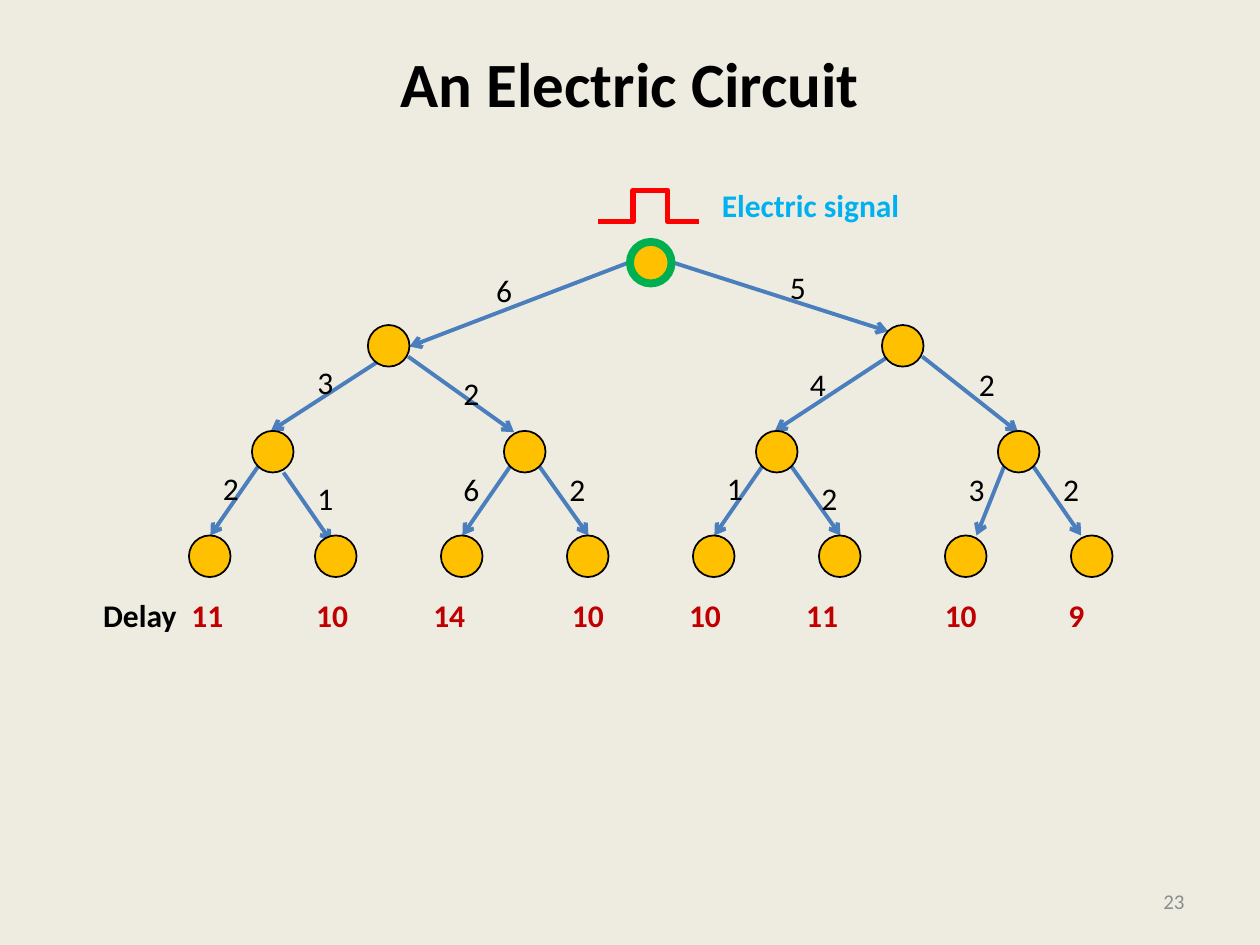
import pptx
import pptx.dml.color
import pptx.enum.shapes
import pptx.enum.text
import pptx.oxml
import pptx.oxml.ns
import pptx.util
from pptx.util import Inches

COLORS = {
    "background": "EEECE1", "text": "000000", "number": "8C8C8C",
    "wire": "4B7EBC", "node": "FFC000", "root": "00B050",
    "pulse": "FF0000", "signal": "00B0F0", "delay": "C00000",
}
ALIGN = pptx.enum.text.PP_ALIGN
ANCHOR = pptx.enum.text.MSO_ANCHOR
CONNECTOR = pptx.enum.shapes.MSO_CONNECTOR


def add_text(paragraph, text, size=18, color="text", bold=False, align=ALIGN.LEFT):
    paragraph.alignment = align
    run = paragraph.add_run()
    run.text = text
    run.font.name = "Calibri"
    run.font.size = pptx.util.Pt(size)
    run.font.bold = bold
    run.font.color.rgb = pptx.dml.color.RGBColor.from_string(COLORS[color])


def add_line(kind, start, end, color, width, arrow=False):
    connector = slide.shapes.add_connector(kind, *map(Inches, start + end))
    connector.line.color.rgb = pptx.dml.color.RGBColor.from_string(COLORS[color])
    connector.line.width = pptx.util.Pt(width)
    if arrow:
        pptx.oxml.ns.qn("a:tailEnd")
        line = connector.line._get_or_add_ln()
        line.append(pptx.oxml.parse_xml(
            f'<a:tailEnd {pptx.oxml.ns.nsdecls("a")} type="arrow"/>'))
    connector._element.spPr.append(pptx.oxml.parse_xml(
        f'<a:effectLst {pptx.oxml.ns.nsdecls("a")}/>'))


presentation = pptx.Presentation()
presentation.slide_width, presentation.slide_height = Inches(10), Inches(7.5)
slide = presentation.slides.add_slide(presentation.slide_layouts[5])
slide.background.fill.solid()
slide.background.fill.fore_color.rgb = pptx.dml.color.RGBColor.from_string(COLORS["background"])

# Title
title = slide.shapes.title
title.left, title.top, title.width, title.height = map(Inches, (0.5, 0.3, 9, 1.25))
title.text_frame.vertical_anchor = ANCHOR.TOP
add_text(title.text_frame.paragraphs[0], "An Electric Circuit", size=36, bold=True,
         align=ALIGN.CENTER)

# Wires: start, end, delay, left and top of the delay label
wires = [
    ((5, 2.08), (3.25, 2.75), "6", 3.84, 2.1),
    ((5.33, 2.08), (7.05, 2.63), "5", 6.17, 2.08),
    ((3, 2.87), (2.15, 3.42), "3", 2.42, 2.83),
    ((3.24, 2.83), (4.08, 3.43), "2", 3.58, 2.92),
    ((7.05, 2.83), (6.15, 3.42), "4", 6.33, 2.85),
    ((7.32, 2.83), (8.08, 3.43), "2", 7.67, 2.85),
    ((2.05, 3.7), (1.67, 4.25), "2", 1.67, 3.67),
    ((2.25, 3.75), (2.63, 4.3), "1", 2.42, 3.75),
    ((4.05, 3.7), (3.67, 4.25), "6", 3.58, 3.68),
    ((4.28, 3.7), (4.67, 4.25), "2", 4.42, 3.68),
    ((6.05, 3.7), (5.67, 4.25), "1", 5.67, 3.67),
    ((6.28, 3.7), (6.67, 4.25), "2", 6.42, 3.75),
    ((7.97, 3.7), (7.75, 4.25), "3", 7.59, 3.68),
    ((8.2, 3.7), (8.58, 4.25), "2", 8.34, 3.68),
]
for start, end, *label in wires:
    add_line(CONNECTOR.STRAIGHT, start, end, "wire", 2.25, arrow=True)

# Nodes, level by level from the root
levels = [
    (1.92, [5]),
    (2.58, [2.92, 7]),
    (3.42, [2, 4, 6, 7.92]),
    (4.25, [1.5 + leaf for leaf in range(8)]),
]
for top, lefts in levels:
    is_root = len(lefts) == 1
    for left in lefts:
        node = slide.shapes.add_shape(pptx.enum.shapes.MSO_SHAPE.OVAL, Inches(left),
                                      Inches(top), Inches(0.33), Inches(0.33))
        node.shadow.inherit = False
        node.fill.solid()
        node.fill.fore_color.rgb = pptx.dml.color.RGBColor.from_string(COLORS["node"])
        node.line.color.rgb = pptx.dml.color.RGBColor.from_string(
            COLORS["root" if is_root else "text"])
        node.line.width = pptx.util.Pt(4.5 if is_root else 1)

# Pulse above the root
add_line(CONNECTOR.ELBOW, (5.05, 1.51), (5.55, 1.76), "pulse", 3)
add_line(CONNECTOR.ELBOW, (5.3, 1.51), (4.75, 1.76), "pulse", 3)

# Delay labels, signal caption and slide number
labels = [(left, top, 0.33, text, {}) for _, _, text, left, top in wires]
labels.append((5.63, 1.43, 1.62, "Electric signal", {"color": "signal", "bold": True}))
labels.append((7.17, 6.95, 2.33, "23", {"size": 12, "color": "number", "align": ALIGN.RIGHT}))
for left, top, width, text, text_format in labels:
    box = slide.shapes.add_textbox(Inches(left), Inches(top), Inches(width), Inches(0.4))
    box.text_frame.word_wrap = text == "23"
    box.text_frame.vertical_anchor = ANCHOR.MIDDLE if text == "23" else ANCHOR.TOP
    add_text(box.text_frame.paragraphs[0], text, **text_format)

# Total delay under each leaf, set on tab stops
delays = [("11", 0.7), ("10", 1.69), ("14", 2.62), ("10", 3.72),
          ("10", 4.65), ("11", 5.58), ("10", 6.68), ("9", 7.66)]
delay_box = slide.shapes.add_textbox(Inches(0.72), Inches(4.68), Inches(8.19), Inches(0.4))
delay_box.text_frame.word_wrap = True
delay_row = delay_box.text_frame.paragraphs[0]
tabs = "".join(f'<a:tab pos="{Inches(stop)}" algn="l"/>' for _, stop in delays)
delay_row._p.get_or_add_pPr().append(pptx.oxml.parse_xml(
    f'<a:tabLst {pptx.oxml.ns.nsdecls("a")}>{tabs}</a:tabLst>'))
add_text(delay_row, "Delay", bold=True)
for delay, _ in delays:
    add_text(delay_row, "\t" + delay, color="delay", bold=True)

presentation.save("out.pptx")
